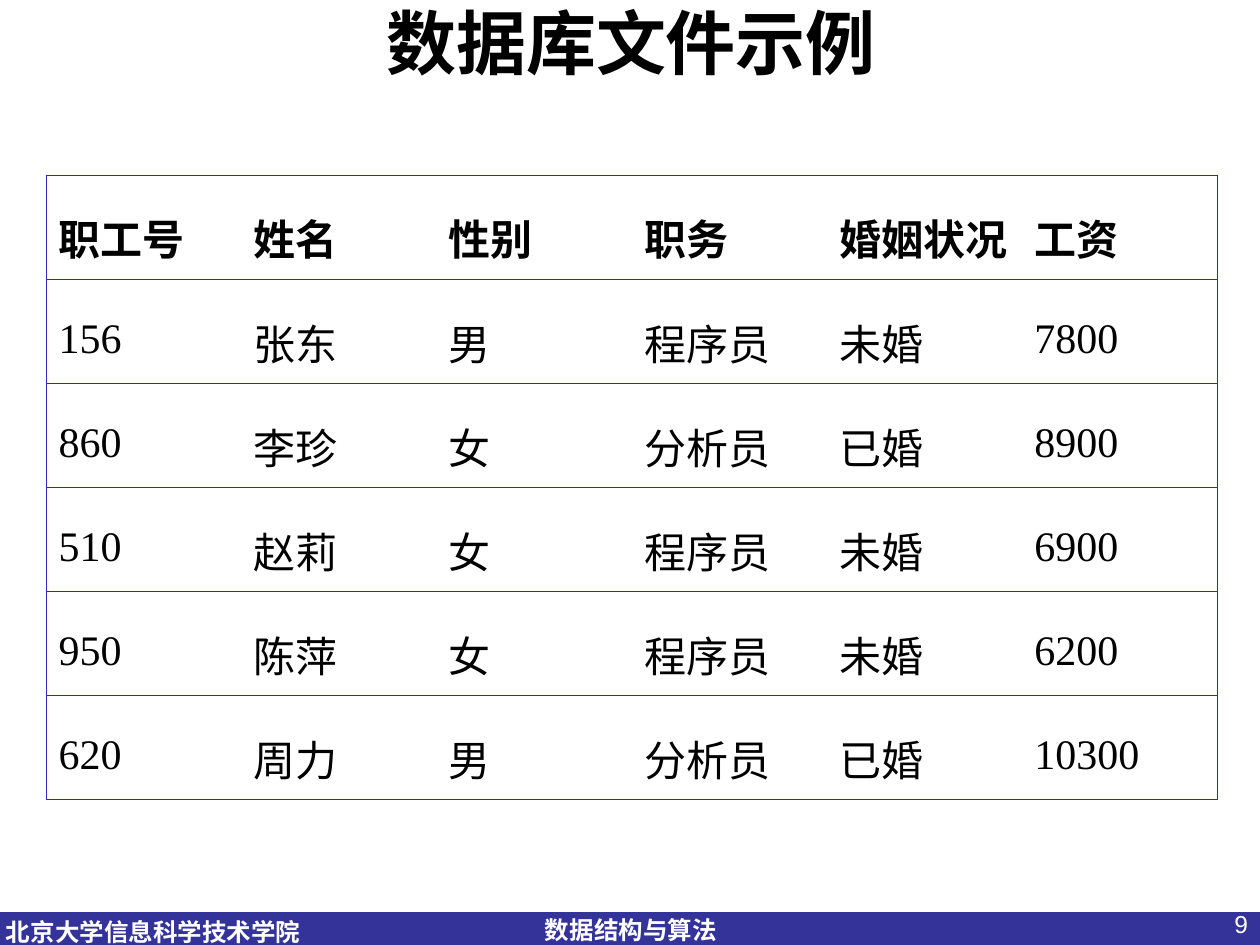
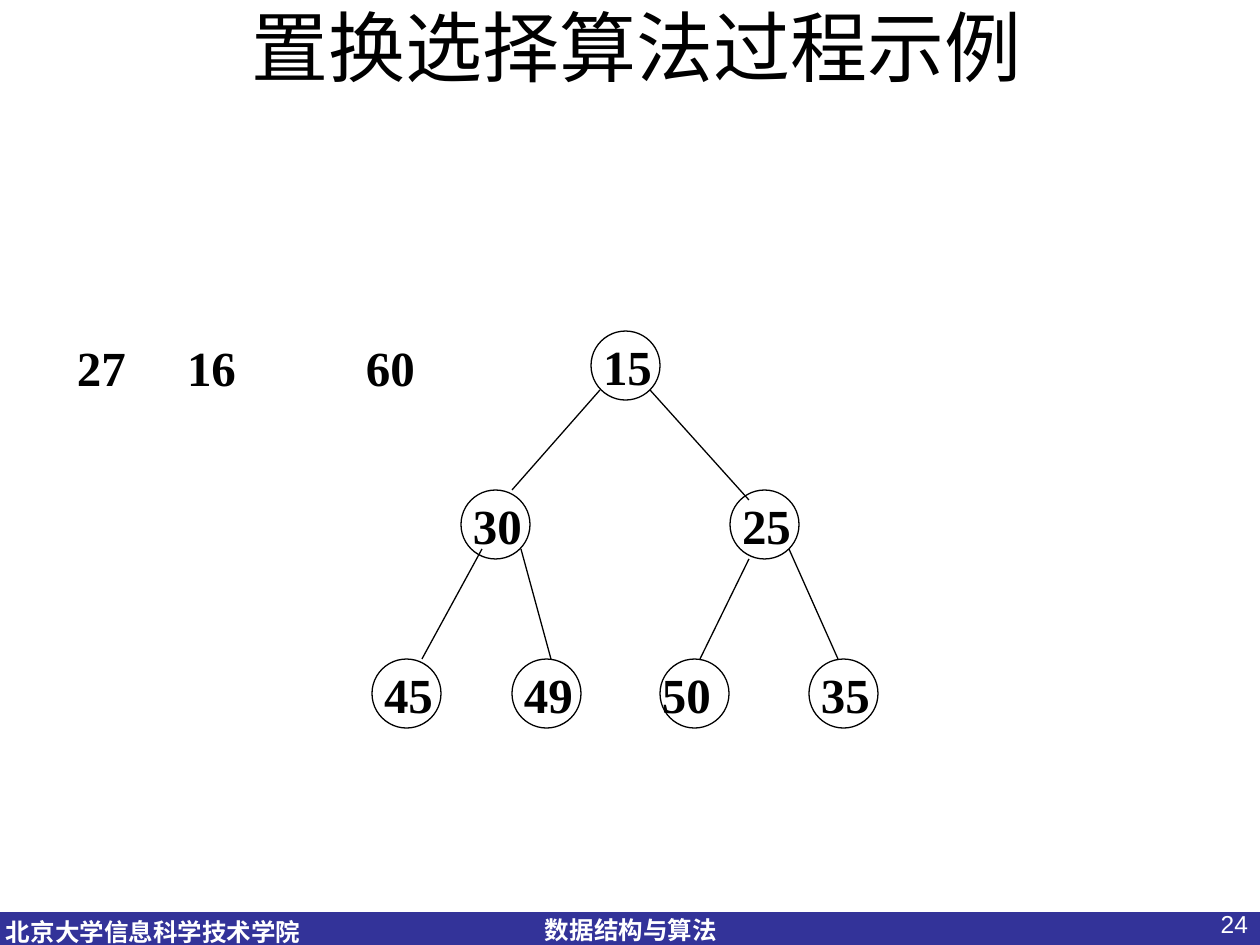
from dataclasses import dataclass

from lxml import etree
from pptx import Presentation
from pptx.dml.color import RGBColor
from pptx.enum.shapes import MSO_CONNECTOR, MSO_SHAPE
from pptx.enum.text import MSO_ANCHOR, MSO_AUTO_SIZE, PP_ALIGN
from pptx.oxml.ns import qn
from pptx.util import Emu, Pt

RECTANGLE, OVAL = MSO_SHAPE.RECTANGLE, MSO_SHAPE.OVAL
STRAIGHT = MSO_CONNECTOR.STRAIGHT
LEFT, CENTER, RIGHT = PP_ALIGN.LEFT, PP_ALIGN.CENTER, PP_ALIGN.RIGHT
TOP, MIDDLE = MSO_ANCHOR.TOP, MSO_ANCHOR.MIDDLE
NO_AUTOFIT = MSO_AUTO_SIZE.NONE
TITLE_ONLY = 5
SLIDE_W, SLIDE_H = 1260, 945


@dataclass(frozen=True)
class Theme:
    ink: str = "000000"
    paper: str = "FFFFFF"
    band: str = "333399"
    rule: str = "2D2DB9"
    sans: str = "Arial"
    serif: str = "Times New Roman"
    cjk: str = "Noto Sans CJK SC"
    record_title: int = 40
    tree_title: int = 44
    key: int = 28
    record: int = 24
    footer: int = 14
    outline: float = 0.75
    rule_width: float = 0.45


THEME = Theme()
INSETS = (13, 6, 13, 6)

RECORDS = [
    ("职工号", "姓名", "性别", "职务", "婚姻状况", "工资"),
    ("156", "张东", "男", "程序员", "未婚", "7800"),
    ("860", "李珍", "女", "分析员", "已婚", "8900"),
    ("510", "赵莉", "女", "程序员", "未婚", "6900"),
    ("950", "陈萍", "女", "程序员", "未婚", "6200"),
    ("620", "周力", "男", "分析员", "已婚", "10300"),
]

NODE_SIZE = 69
HEAP_NODES = [
    ("15", 219, 0), ("30", 89, 159), ("25", 358, 159),
    ("45", 0, 328), ("49", 140, 328), ("50", 288, 328), ("35", 437, 328),
]
HEAP_EDGES = [
    (228, 59, 140, 159), (110, 218, 50, 328), (149, 218, 179, 328),
    (278, 59, 377, 169), (377, 228, 328, 328), (417, 218, 466, 328),
]
WAITING_KEYS = [("27", 0), ("16", 110), ("60", 289)]


def px(length):
    return Emu(round(length * 914400 / 126))


def color(value):
    return RGBColor.from_string(value)


def write(frame, text, size, font=THEME.serif, ink=THEME.ink, bold=False,
          align=LEFT, spacing=None):
    paragraph = frame.paragraphs[0]
    paragraph.alignment = align
    if spacing:
        paragraph.line_spacing = spacing
    run = paragraph.add_run()
    run.text = text
    run.font.size = Pt(size)
    run.font.name = font
    run.font.bold = bold
    run.font.color.rgb = color(ink)
    east_asian = etree.SubElement(run.font._element, qn("a:ea"))
    east_asian.set("typeface", THEME.cjk)


def set_frame(frame, insets=INSETS, anchor=TOP, wrap=True):
    frame.auto_size = NO_AUTOFIT
    frame.word_wrap = wrap
    frame.vertical_anchor = anchor
    (frame.margin_left, frame.margin_top,
     frame.margin_right, frame.margin_bottom) = map(px, insets)


def add_label(slide, box, text, size, insets=INSETS, **style):
    label = slide.shapes.add_textbox(*map(px, box))
    set_frame(label.text_frame, insets)
    write(label.text_frame, text, size, **style)


def add_preset(slide, preset, box, fill, line=None):
    shape = slide.shapes.add_shape(preset, *map(px, box))
    shape.shadow.inherit = False
    shape.fill.solid()
    shape.fill.fore_color.rgb = color(fill)
    if line:
        shape.line.color.rgb = color(line)
        shape.line.width = Pt(THEME.outline)
    else:
        shape.line.fill.background()
    return shape


def add_title(slide, box, text, size, bold=False):
    title = slide.shapes.title
    title.left, title.top, title.width, title.height = map(px, box)
    set_frame(title.text_frame, insets=(0, 0, 0, 0))
    write(title.text_frame, text, size, font=THEME.cjk, bold=bold, align=CENTER)


def add_footer(slide, box, number):
    left, top, width, height = box
    add_preset(slide, RECTANGLE, box, THEME.band)
    style = dict(size=THEME.footer, font=THEME.sans, ink=THEME.paper)
    for text, x, y, label_width in (
        ("北京大学信息科学技术学院", 6, -1, 330),
        ("数据结构与算法", 545, -3, 200),
    ):
        add_label(slide, (left + x, top + y, label_width, 43), text,
                  insets=(0, 6, 13, 6), bold=True, **style)
    add_label(slide, (left + width - 292, top - 9, 293, 66), number,
              align=RIGHT, **style)


def start_slide(deck, number):
    slide = deck.slides.add_slide(deck.slide_layouts[TITLE_ONLY])
    slide.background.fill.solid()
    slide.background.fill.fore_color.rgb = color(THEME.paper)
    add_footer(slide, (0, 912, SLIDE_W, SLIDE_H - 912), number)
    return slide


def set_borders(cell, visible):
    properties = cell._tc.get_or_add_tcPr()
    for side in ("L", "R", "T", "B"):
        border = etree.SubElement(properties, qn(f"a:ln{side}"))
        border.set("w", str(Pt(THEME.rule_width)))
        if side in visible:
            fill = etree.SubElement(border, qn("a:solidFill"))
            etree.SubElement(fill, qn("a:srgbClr")).set("val", THEME.rule)
        else:
            etree.SubElement(border, qn("a:noFill"))


def add_records(slide, box):
    row_count, column_count = len(RECORDS), len(RECORDS[0])
    table = slide.shapes.add_table(row_count, column_count, *map(px, box)).table
    table.horz_banding = False
    for row, record in enumerate(RECORDS):
        for column, value in enumerate(record):
            cell = table.cell(row, column)
            visible = "TB"
            if column == 0:
                visible += "L"
            if column == column_count - 1:
                visible += "R"
            set_borders(cell, visible)
            cell.fill.solid()
            cell.fill.fore_color.rgb = color(THEME.paper)
            cell.vertical_anchor = MIDDLE
            write(cell.text_frame, value, THEME.record,
                  bold=row == 0, spacing=1.35)


def add_edge(slide, start, end):
    edge = slide.shapes.add_connector(STRAIGHT, *map(px, (*start, *end)))
    edge.line.color.rgb = color(THEME.ink)
    edge.line.width = Pt(THEME.outline)
    etree.SubElement(edge._element.spPr, qn("a:effectLst"))


def add_heap(slide, left, top):
    for key, x, y in HEAP_NODES:
        node = add_preset(slide, OVAL, (left + x, top + y, NODE_SIZE, NODE_SIZE),
                          THEME.paper, THEME.ink)
        insets = (0, 0, 16, 0) if key == "50" else (4, 0, 0, 0)
        set_frame(node.text_frame, insets, MIDDLE, wrap=False)
        write(node.text_frame, key, THEME.key, bold=True, align=CENTER)
    for x1, y1, x2, y2 in HEAP_EDGES:
        add_edge(slide, (left + x1, top + y1), (left + x2, top + y2))


def add_waiting_keys(slide, left, top):
    for key, x in WAITING_KEYS:
        add_label(slide, (left + x, top, 79, 72), key, THEME.key, bold=True)


def build_records_slide(deck):
    slide = start_slide(deck, "9")
    add_title(slide, (64, 0, 1134, 97), "数据库文件示例", THEME.record_title, bold=True)
    add_records(slide, (46, 175, 1171, 625))


def build_selection_slide(deck):
    slide = start_slide(deck, "24")
    add_title(slide, (13, 0, 1247, 115), "置换选择算法过程示例", THEME.tree_title)
    add_heap(slide, 372, 331)
    add_waiting_keys(slide, 64, 331)


def main():
    deck = Presentation()
    deck.slide_width, deck.slide_height = px(SLIDE_W), px(SLIDE_H)
    build_records_slide(deck)
    build_selection_slide(deck)
    deck.save("out.pptx")


if __name__ == "__main__":
    main()
